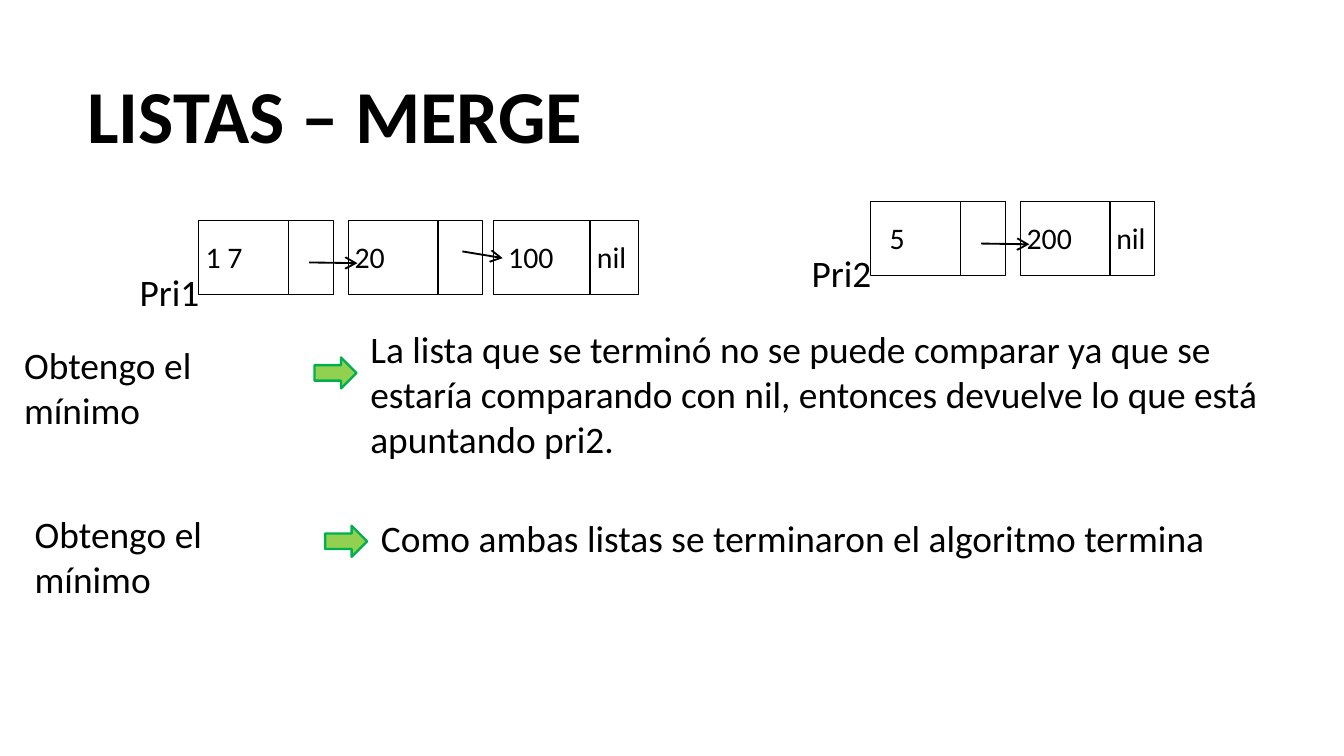
import pptx
import pptx.dml.color
import pptx.enum.shapes
import pptx.enum.text
import pptx.oxml
import pptx.oxml.ns
import pptx.util
from pptx.util import Pt

BLACK = pptx.dml.color.RGBColor(0x00, 0x00, 0x00)
LIGHT_GREEN = pptx.dml.color.RGBColor(0x92, 0xD0, 0x50)
GREEN = pptx.dml.color.RGBColor(0x00, 0xB0, 0x50)

FONT = "Calibri"
NODE_HEIGHT = 39.6
LIST_NODE_X = (38.9, 118.8, 196.6)  # node lefts, from the left of the list
LIST_LINKS = ((97.9, 22.5, 123.8, 22.9), (180, 16.6, 201.6, 20.2))


def add_text(slide, text, left, top, width, height, size=20, inset=7.2):
    """Add a left-aligned text box and return it."""
    shape = slide.shapes.add_textbox(Pt(left), Pt(top), Pt(width), Pt(height))
    frame = shape.text_frame
    frame.word_wrap = True
    frame.margin_left = frame.margin_right = Pt(inset)
    frame.margin_top = frame.margin_bottom = Pt(3.6)
    paragraph = frame.paragraphs[0]
    paragraph.text = text
    paragraph.font.name = FONT
    paragraph.font.size = Pt(size)
    paragraph.font.color.rgb = BLACK
    return shape


def add_line(slide, x1, y1, x2, y2, arrow=False):
    """Add a black straight line, with an open arrowhead if asked."""
    connector = slide.shapes.add_connector(
        pptx.enum.shapes.MSO_CONNECTOR.STRAIGHT, Pt(x1), Pt(y1), Pt(x2), Pt(y2))
    connector.line.color.rgb = BLACK
    connector.line.width = Pt(1)
    if arrow:
        line = connector.line._get_or_add_ln()
        line.append(pptx.oxml.parse_xml(
            f'<a:tailEnd {pptx.oxml.ns.nsdecls("a")} type="arrow"/>'))
    connector._element.spPr.append(pptx.oxml.parse_xml(
        f'<a:effectLst {pptx.oxml.ns.nsdecls("a")}/>'))


def add_title(slide, text, left, top, width, height):
    shape = add_text(slide, text, left, top, width, height, size=40)
    shape.text_frame.vertical_anchor = pptx.enum.text.MSO_ANCHOR.BOTTOM
    paragraph = shape.text_frame.paragraphs[0]
    paragraph.font.bold = True
    paragraph.line_spacing = 0.85


def add_node(slide, left, top, value, inset, width, divider, pointer):
    """Draw one list node: a value cell and a pointer cell."""
    box = slide.shapes.add_shape(
        pptx.enum.shapes.MSO_SHAPE.RECTANGLE,
        Pt(left), Pt(top), Pt(width), Pt(NODE_HEIGHT))
    box.shadow.inherit = False
    box.fill.background()
    box.line.color.rgb = BLACK
    box.line.width = Pt(0.5)
    add_line(slide, left + divider, top, left + divider, top + NODE_HEIGHT)
    add_text(slide, value, left, top + 6, divider, 28, 16, inset)
    if pointer:
        add_text(slide, pointer, left + divider, top + 6, width - divider, 28, 16, 3.5)


def add_linked_list(slide, left, top, name, nodes):
    """Draw a named linked list; each node is (value, inset, width, divider, pointer)."""
    add_text(slide, name, left, top + 22.3, 50.4, 39.6)
    for node_x, node in zip(LIST_NODE_X, nodes):
        add_node(slide, left + node_x, top, *node)
    for x1, y1, x2, y2 in LIST_LINKS[:len(nodes) - 1]:
        add_line(slide, left + x1, top + y1, left + x2, top + y2, arrow=True)


def add_step(slide, left, top, label, result, result_shift, result_height):
    """Draw one step: label, green arrow and result."""
    add_text(slide, label, left, top, 168.5, 39.6)
    arrow = slide.shapes.add_shape(
        pptx.enum.shapes.MSO_SHAPE.RIGHT_ARROW,
        Pt(left + 162.7), Pt(top + 11.5), Pt(22.5), Pt(16.6))
    arrow.shadow.inherit = False
    arrow.fill.solid()
    arrow.fill.fore_color.rgb = LIGHT_GREEN
    arrow.line.color.rgb = GREEN
    arrow.line.width = Pt(1.25)
    add_text(slide, result, left + 185.5, top + result_shift, 500.4, result_height)


def main():
    presentation = pptx.Presentation()
    presentation.slide_width = Pt(720)
    presentation.slide_height = Pt(405)
    slide = presentation.slides.add_slide(presentation.slide_layouts[6])

    add_title(slide, "LISTAS – MERGE", 39.6, 9.4, 671.8, 79.2)

    # The two lists to merge
    add_linked_list(slide, 67.7, 118.1, "Pri1", [
        ("1 7", 3.5, 72, 48, None),
        ("20", 3.5, 72, 48, None),
        ("100", 8, 78, 52, "nil"),
    ])
    add_linked_list(slide, 427.7, 108, "Pri2", [
        ("5", 10, 72, 48, None),
        ("200", 3.5, 72, 48, "nil"),
    ])

    # Last steps of the merge
    label = "Obtengo el mínimo"
    add_step(slide, 5.8, 180, label,
             "La lista que se terminó no se puede comparar ya que se estaría "
             "comparando con nil, entonces devuelve lo que está apuntando pri2.",
             -8.6, 76.3)
    add_step(slide, 11.5, 270.2, label,
             "Como ambas listas se terminaron el algoritmo termina", 2, 42.5)

    presentation.save("out.pptx")


if __name__ == "__main__":
    main()
